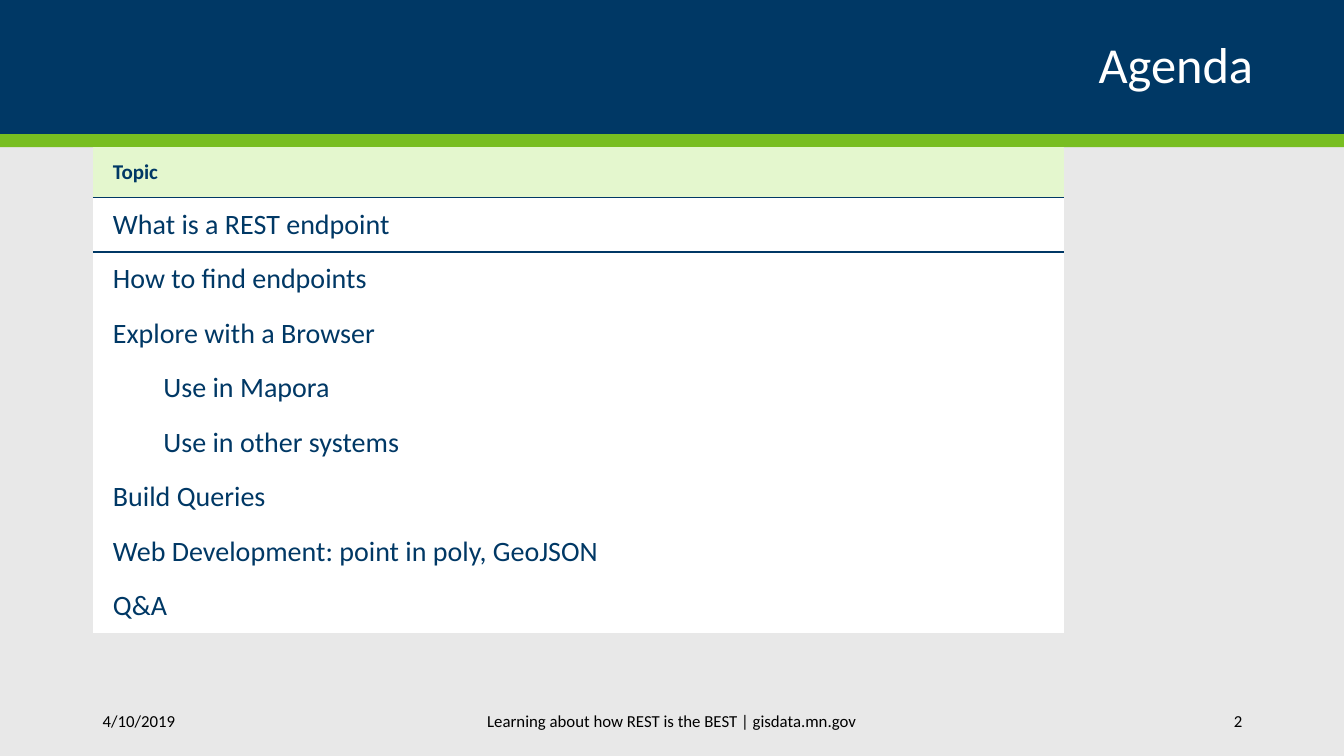
from dataclasses import dataclass

from lxml import etree
from pptx import Presentation
from pptx import util as u
from pptx.dml import color
from pptx.enum import shapes, text
from pptx.oxml import ns


@dataclass(frozen=True)
class Theme:
    font: str = "Calibri"
    navy: str = "003865"
    green: str = "78BE21"
    pale_green: str = "E4F7CE"
    white: str = "FFFFFF"
    black: str = "000000"
    background: str = "E8E8E8"
    title_size: int = 36
    topic_size: int = 20
    header_size: int = 15
    footer_size: int = 12


theme = Theme()
LEFT, CENTER, RIGHT = text.PP_ALIGN.LEFT, text.PP_ALIGN.CENTER, text.PP_ALIGN.RIGHT


def paint(fill, rgb):
    fill.solid()
    fill.fore_color.rgb = color.RGBColor.from_string(rgb)


def write(frame, words, size, rgb, bold=False, align=LEFT, spacing=None):
    frame.word_wrap = True
    paragraph = frame.paragraphs[0]
    paragraph.alignment = align
    paragraph.line_spacing = spacing
    run = paragraph.add_run()
    run.text = words
    run.font.name = theme.font
    run.font.size = u.Pt(size)
    run.font.bold = bold
    run.font.color.rgb = color.RGBColor.from_string(rgb)
    return paragraph


presentation = Presentation()
presentation.slide_width = u.Inches(13.33)
presentation.slide_height = u.Inches(7.5)
slide = presentation.slides.add_slide(presentation.slide_layouts[6])
paint(slide.background.fill, theme.background)

# Title band with a green stripe below
bands = []
for top, height, rgb in [(1.33, 0.13, theme.green), (0, 1.33, theme.navy)]:
    band = slide.shapes.add_shape(
        shapes.MSO_SHAPE.RECTANGLE, 0, u.Inches(top),
        presentation.slide_width, u.Inches(height))
    band.shadow.inherit = False
    band.line.fill.background()
    paint(band.fill, rgb)
    bands.append(band)

title = bands[-1].text_frame
title.margin_left = title.margin_right = u.Inches(0.9)
title.vertical_anchor = text.MSO_ANCHOR.MIDDLE
write(title, "Agenda", theme.title_size, theme.white, align=RIGHT, spacing=0.9)

# Agenda table: one header row, then topics with their indent level
topics = [
    ("What is a REST endpoint", 0),
    ("How to find endpoints", 0),
    ("Explore with a Browser", 0),
    ("Use in Mapora", 1),
    ("Use in other systems", 1),
    ("Build Queries", 0),
    ("Web Development: point in poly, GeoJSON", 0),
    ("Q&A", 0),
]
HEADER_HEIGHT, TOPIC_HEIGHT = 0.5, 0.54
agenda = slide.shapes.add_table(
    len(topics) + 1, 1, u.Inches(0.92), u.Inches(1.46), u.Inches(9.63),
    u.Inches(HEADER_HEIGHT + TOPIC_HEIGHT * len(topics)))
table = agenda.table
table.horizontal_banding = False
# Table style "No Style, No Grid"
style = next(agenda.element.iter(ns.qn("a:tableStyleId")))
style.text = "{2D5ABB26-0587-4C30-8999-92F81FD0307C}"

for index, (topic, level) in enumerate([("Topic", 0)] + topics):
    header = index == 0
    table.rows[index].height = u.Inches(HEADER_HEIGHT if header else TOPIC_HEIGHT)
    cell = table.cell(index, 0)
    cell.vertical_anchor = text.MSO_ANCHOR.MIDDLE
    cell.margin_left, cell.margin_right = u.Inches(0.2), u.Inches(0.1)
    cell.margin_top = cell.margin_bottom = u.Inches(0.05 if header else 0.1)
    paint(cell.fill, theme.pale_green if header else theme.white)
    paragraph = write(cell.text_frame, topic,
                      theme.header_size if header else theme.topic_size,
                      theme.navy, bold=header)
    if level:
        paragraph.level = level
        properties = paragraph._p.get_or_add_pPr()
        properties.set("marL", str(u.Inches(0.5 * level)))
        properties.set("indent", "0")

# Rule between the header and the first topic
for index, side in enumerate(["a:lnB", "a:lnT"]):
    border = etree.Element(ns.qn(side), w=str(u.Pt(1)))
    solid = etree.SubElement(border, ns.qn("a:solidFill"))
    etree.SubElement(solid, ns.qn("a:srgbClr"), val=theme.navy)
    table.cell(index, 0)._tc.get_or_add_tcPr().insert(0, border)

# Footer: date, talk and page number
footers = [
    (0.92, 1.49, "4/10/2019", LEFT),
    (3.61, 6.11, "Learning about how REST is the BEST | gisdata.mn.gov", CENTER),
    (10.82, 1.6, "2", RIGHT),
]
for left, width, words, align in footers:
    footer = slide.shapes.add_textbox(
        u.Inches(left), u.Inches(6.95), u.Inches(width), u.Inches(0.4))
    footer.text_frame.vertical_anchor = text.MSO_ANCHOR.MIDDLE
    write(footer.text_frame, words, theme.footer_size, theme.black, align=align)

presentation.save("out.pptx")
